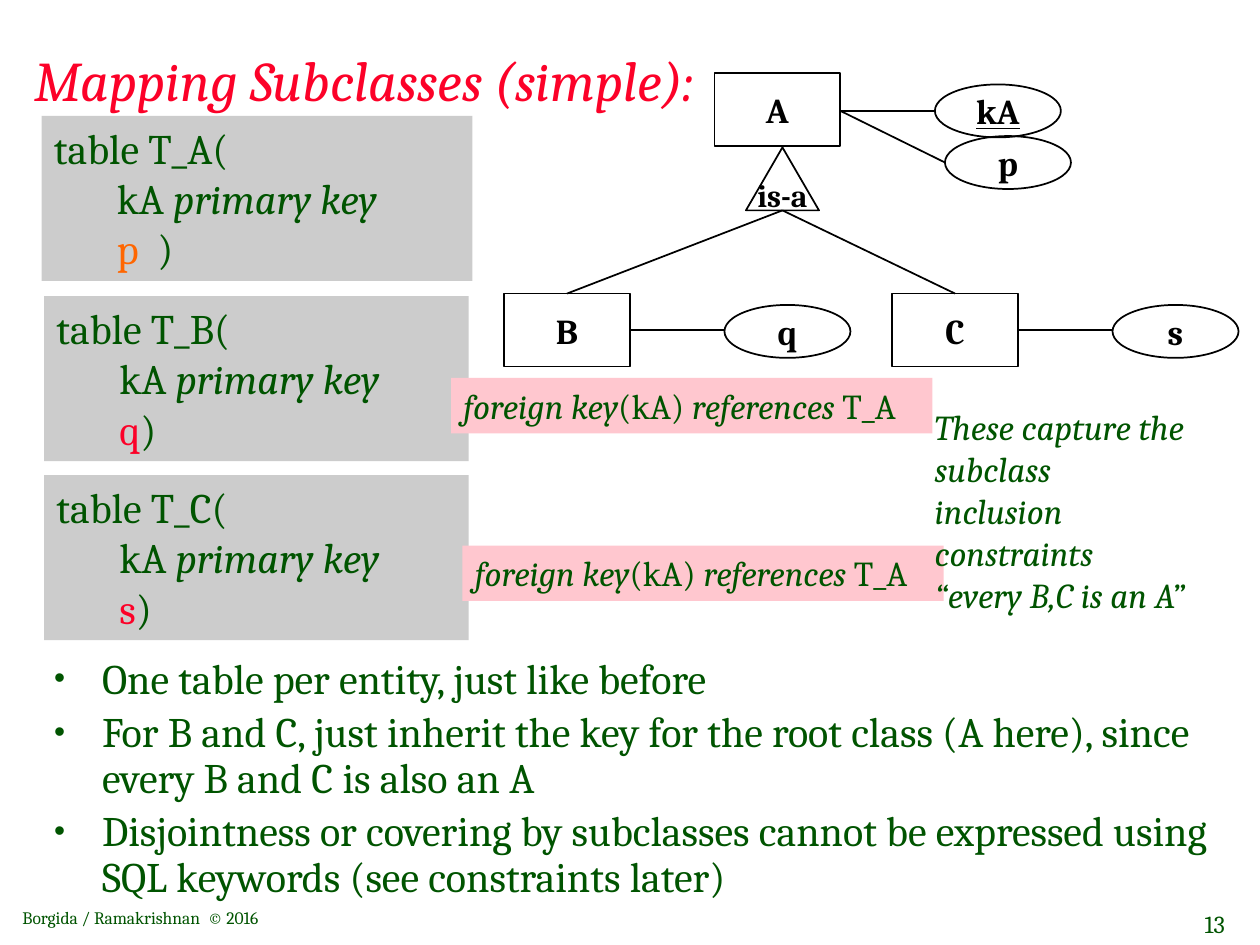
import pptx
import pptx.util
import pptx.dml.color
import pptx.enum.shapes
import pptx.enum.text
import lxml.etree
from dataclasses import dataclass

Inches, Pt = pptx.util.Inches, pptx.util.Pt
Kind = pptx.enum.shapes.MSO_SHAPE
Align = pptx.enum.text.PP_ALIGN
Anchor = pptx.enum.text.MSO_ANCHOR


@dataclass(frozen=True)
class Theme:
    font: str = "Cambria"
    green: str = "005400"
    red: str = "FC0128"
    orange: str = "FF6600"
    black: str = "000000"
    gray: str = "CCCCCC"
    pink: str = "FFC7CF"
    title: int = 32
    body: int = 24
    note: int = 20
    isa: int = 18
    page: int = 14
    foot: int = 10


T = Theme()

# Content: a run is plain text or (text, format)
ital = {"i": True}
title = "Mapping Subclasses (simple):"
tables = [  # name, attribute, colour, tail, left, top, width
    ("T_A", "p", T.orange, "  )", 0.33, 0.92, 3.42),
    ("T_B", "q", T.red, ")", 0.35, 2.35, 3.37),
    ("T_C", "s", T.red, ")", 0.35, 3.77, 3.37),
]
foreign = [("foreign key", ital), "(kA) ", ("references", ital), " T_A"]
keys = [(3.58, 3), (3.67, 4.33)]
note = ["These capture the", "subclass", "inclusion\vconstraints",
        "“every B,C is an A”"]
points = [
    "One table per entity, just like before",
    "For B and C, just inherit the key for the root class (A here), "
    "since every B and C is also an A",
    "Disjointness or covering by subclasses cannot be expressed using "
    "SQL keywords (see constraints later)",
]
subs = [("B", "q", 4), ("C", "s", 7.08)]

deck = pptx.Presentation()
deck.slide_width, deck.slide_height = Inches(10), Inches(7.5)
slide = deck.slides.add_slide(deck.slide_layouts[1])
shapes = slide.shapes


def color(code):
    return pptx.dml.color.RGBColor.from_string(code)


def write(shape, lines, size=T.note, ink=T.green, bold=False, slant=False,
          align=Align.LEFT, anchor=Anchor.TOP, wrap=True):
    """Fill a shape with lines, each a string or a list of runs."""
    frame = shape.text_frame
    frame.word_wrap = wrap
    frame.auto_size = pptx.enum.text.MSO_AUTO_SIZE.NONE
    frame.vertical_anchor = anchor
    for n, line in enumerate(lines):
        para = frame.add_paragraph() if n else frame.paragraphs[0]
        para.alignment = align
        for part in [line] if isinstance(line, str) else line:
            words, style = (part, {}) if isinstance(part, str) else part
            for k, piece in enumerate(words.split("\v")):
                if k:
                    para.add_line_break()
                run = para.add_run()
                run.text = piece
                font = run.font
                font.name, font.size, font.bold = T.font, Pt(size), bold
                font.italic = style.get("i", slant)
                if style.get("u"):
                    font.underline = True
                font.color.rgb = color(style.get("c", ink))
    return frame


def place(shape, *box):
    shape.left, shape.top, shape.width, shape.height = map(Inches, box)
    return shape


def area(*box):
    return shapes.add_textbox(*map(Inches, box))


def draw(kind, *box, fill=None, line=None):
    shape = shapes.add_shape(kind, *map(Inches, box))
    shape.shadow.inherit = False
    if fill:
        shape.fill.solid()
        shape.fill.fore_color.rgb = color(fill)
    else:
        shape.fill.background()
    if line:
        shape.line.color.rgb = color(line)
        shape.line.width = Pt(1)
    else:
        shape.line.fill.background()
    return shape


def node(kind, text, *box, size=T.note):
    write(draw(kind, *box, line=T.black), [[text]], size=size, ink=T.black,
          bold=True, align=Align.CENTER, anchor=Anchor.MIDDLE, wrap=False)


def link(*ends):
    wire = shapes.add_connector(pptx.enum.shapes.MSO_CONNECTOR.STRAIGHT,
                                *map(Inches, ends))
    wire.line.color.rgb = color(T.black)
    wire.line.width = Pt(1)
    space = "http://schemas.openxmlformats.org/drawingml/2006/main"
    lxml.etree.SubElement(wire._element.spPr, "{%s}effectLst" % space)


def bullet(para):
    props = para._p.get_or_add_pPr()
    props.set("marL", str(Inches(0.38)))
    props.set("indent", str(-Inches(0.38)))
    for tag, name, val in [("buSzPct", "val", "75000"),
                           ("buChar", "char", "•")]:
        item = lxml.etree.SubElement(props, pptx.oxml.ns.qn("a:" + tag))
        item.set(name, val)


# Footer and page number
write(area(0.08, 7.15, 3.08, 0.26), ["Borgida / Ramakrishnan  © 2016"],
      size=T.foot, anchor=Anchor.MIDDLE)
write(area(9.39, 7.17, 0.43, 0.33), ["13"], size=T.page, align=Align.RIGHT,
      anchor=Anchor.MIDDLE, wrap=False)

# Title
write(place(shapes.title, 0.17, 0.17, 8.5, 0.92), [title], size=T.title,
      ink=T.red, slant=True, anchor=Anchor.MIDDLE)

# Root entity with its attributes
wide, high, oval = 1, 0.58, 0.42
node(Kind.RECTANGLE, "A", 5.67, 0.58, wide, high)
node(Kind.OVAL, ("kA", {"u": True}), 7.42, 0.67, wide, oval)
node(Kind.OVAL, "p", 7.5, 1.08, wide, oval)
link(6.67, 0.88, 7.42, 0.88)
link(7.5, 1.29, 6.67, 0.88)
node(Kind.ISOSCELES_TRIANGLE, "is-a", 5.92, 1.17, 0.58, 0.5, size=T.isa)

# Subclasses
for name, attr, left in subs:
    node(Kind.RECTANGLE, name, left, 2.33, wide, high)
    node(Kind.OVAL, attr, left + 1.75, 2.42, wide, oval)
    link(left + wide, 2.62, left + 1.75, 2.62)
    link(left + wide / 2, 2.33, 6.21, 1.67)

# Table definitions
for name, attr, ink, tail, left, top, width in tables:
    write(draw(Kind.RECTANGLE, left, top, width, 1.31, fill=T.gray),
          [f"table {name}(", ["\tkA ", ("primary key", ital)],
           ["\t", (attr, {"c": ink}), tail]], size=T.body)

# Bullet list
body = place(slide.placeholders[1], 0.33, 5.17, 9.5, 2.08)
for para in write(body, points, size=T.body).paragraphs:
    para.line_spacing = 0.9
    para.space_before = Pt(T.body * 0.2)
    bullet(para)

# Foreign keys and their note
for left, top in keys:
    write(draw(Kind.RECTANGLE, left, top, 3.82, 0.44, fill=T.pink), [foreign])
write(area(7.32, 3.17, 2.52, 1.43), note, slant=True)

deck.save("out.pptx")
